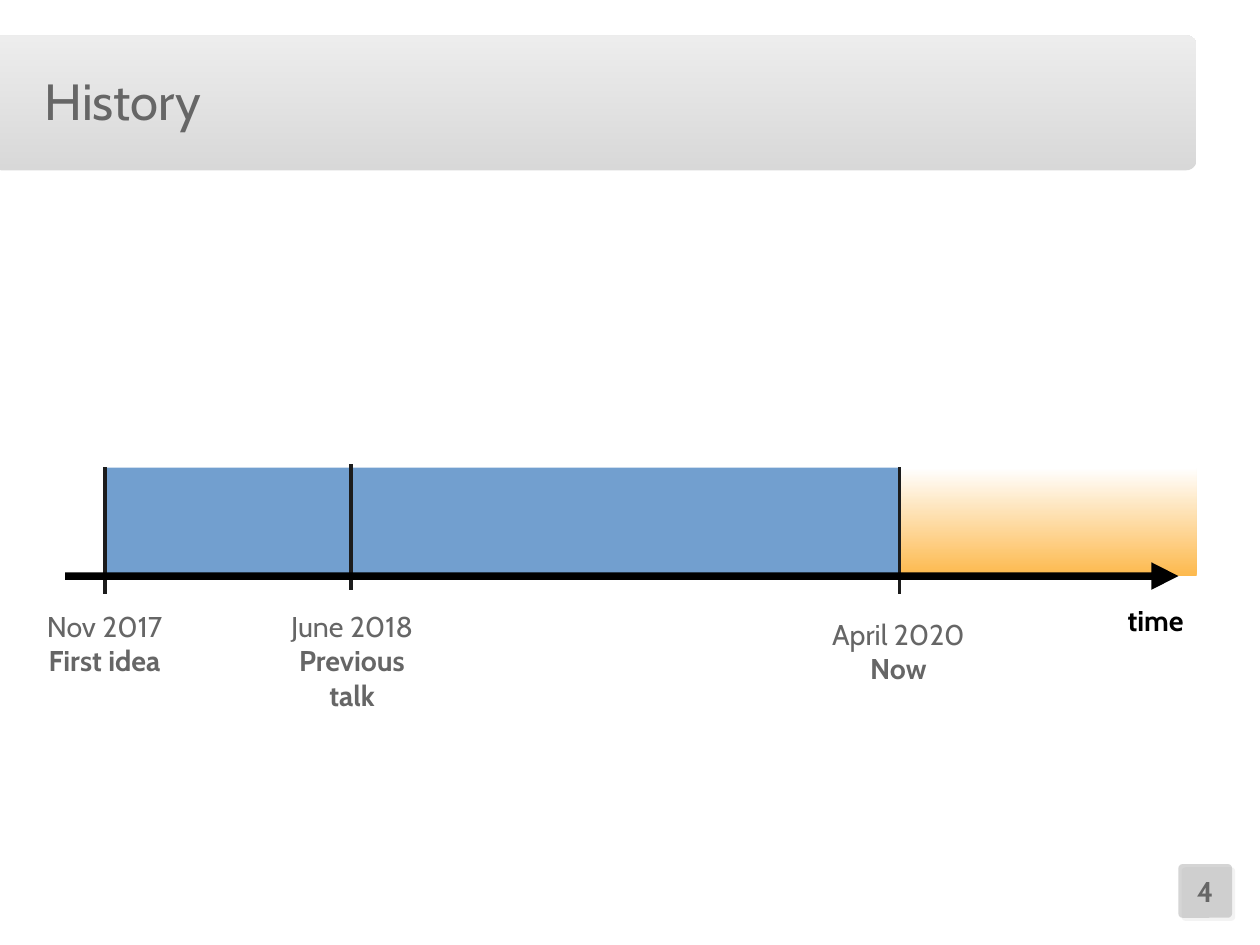
from dataclasses import dataclass

from lxml.etree import SubElement
from pptx import Presentation
from pptx.dml.color import RGBColor
from pptx.enum.shapes import MSO_CONNECTOR as LINE, MSO_SHAPE as SHAPE
from pptx.enum.text import MSO_ANCHOR as ANCHOR, PP_ALIGN as ALIGN
from pptx.oxml.ns import qn
from pptx.util import Inches, Pt

FONT = "Cabin"
COLORS = {
    "text": "666666", "black": "000000", "tick": "1C1C1C", "past": "729FCF",
    "future": "FDB94D", "white": "FFFFFF", "gray": "B2B2B2",
    "light": "DDDDDD", "shadow": "808080",
}
CM_PER_INCH = 2.54
BAR_TOP, BAR_BOTTOM = 4.09, 5.04
BADGE = (10.31, 7.56, 0.47, 0.47)


@dataclass
class Line:
    text: str
    bold: bool = False
    size: int = 18
    color: str = "text"


@dataclass
class Label:
    box: tuple[float, float, float, float]
    lines: list[Line]
    align: ALIGN = ALIGN.CENTER
    anchor: ANCHOR = ANCHOR.TOP
    inset: tuple[float, float] = (0.1, 0.05)


@dataclass
class Period:
    start: float
    end: float
    colors: list[str]  # bottom to top


@dataclass
class Tick:
    x: float
    top: float
    bottom: float


TITLE = Label((0.39, 0.39, 6.77, 0.98), [Line("History", size=32)],
              ALIGN.LEFT, ANCHOR.MIDDLE, (0, 0))
PAGE_NUMBER = Label(BADGE, [Line("4", True)], anchor=ANCHOR.MIDDLE, inset=(0, 0))
LABELS = [
    Label((2.36, 5.28, 1.44, 1.12), [Line("June 2018"), Line("Previous talk", True)]),
    Label((0.25, 5.28, 1.33, 1.12), [Line("Nov 2017"), Line("First idea", True)]),
    Label((9.67, 5.23, 0.88, 0.52), [Line("time", True, color="black")]),
    Label((7.14, 5.35, 1.44, 0.97), [Line("April 2020"), Line("Now", True)]),
]
PERIODS = [
    Period(7.88, 10.47, ["future", "white"]),
    Period(0.92, 3.07, ["past"]),
    Period(3.07, 7.87, ["past"]),
]
TICKS = [Tick(0.92, 4.09, 5.2), Tick(3.07, 4.06, 5.16), Tick(7.87, 4.09, 5.2)]


def rgb(name: str) -> RGBColor:
    return RGBColor.from_string(COLORS[name])


def add_block(s, kind, box, colors: list[str], opacity: int = 100, adj=()):
    """Add a borderless shape with a plain fill or a bottom-to-top gradient."""
    sp = s.shapes.add_shape(kind, *map(Inches, box))
    sp.shadow.inherit = False
    sp.line.fill.background()
    for i, value in enumerate(adj):
        sp.adjustments[i] = value
    if len(colors) == 1:
        sp.fill.solid()
        sp.fill.fore_color.rgb = rgb(colors[0])
    else:
        sp.fill.gradient()
        sp.fill.gradient_angle = 90
        for stop, color in zip(sp.fill.gradient_stops, colors):
            stop.color.rgb = rgb(color)
    if opacity < 100:
        for clr in list(sp._element.spPr.iter(qn("a:srgbClr"))):
            SubElement(clr, qn("a:alpha"), val=str(opacity * 1000))
    return sp


def add_shadow(sp, opacity: int, dist: float, angle: int) -> None:
    effects = sp._element.spPr.find(qn("a:effectLst"))
    shadow = SubElement(effects, qn("a:outerShdw"), blurRad="0",
                        dist=str(Pt(dist)), dir=str(angle * 60000),
                        algn="tl", rotWithShape="0")
    clr = SubElement(shadow, qn("a:srgbClr"), val=COLORS["shadow"])
    SubElement(clr, qn("a:alpha"), val=str(opacity * 1000))


def add_label(s, label: Label) -> None:
    tf = s.shapes.add_textbox(*map(Inches, label.box)).text_frame
    tf.word_wrap = True
    tf.vertical_anchor = label.anchor
    tf.margin_left = tf.margin_right = Inches(label.inset[0])
    tf.margin_top = tf.margin_bottom = Inches(label.inset[1])
    for i, line in enumerate(label.lines):
        p = tf.add_paragraph() if i else tf.paragraphs[0]
        p.alignment = label.align
        r = p.add_run()
        r.text = line.text
        r.font.name, r.font.size, r.font.bold = FONT, Pt(line.size), line.bold
        r.font.color.rgb = rgb(line.color)


def add_period(s, period: Period) -> None:
    box = (period.start, BAR_TOP, period.end - period.start, BAR_BOTTOM - BAR_TOP)
    add_block(s, SHAPE.RECTANGLE, box, period.colors)


def add_tick(s, tick: Tick) -> None:
    x = Inches(tick.x)
    line = s.shapes.add_connector(LINE.STRAIGHT, x, Inches(tick.top), x, Inches(tick.bottom))
    line.line.color.rgb = rgb("tick")
    line.line.width = Pt(2.3)
    SubElement(line._element.spPr, qn("a:effectLst"))


def main() -> None:
    prs = Presentation()
    prs.slide_width = Inches(28 / CM_PER_INCH)
    prs.slide_height = Inches(21 / CM_PER_INCH)
    s = prs.slides.add_slide(prs.slide_layouts[6])

    # Header band, page badge and title
    add_block(s, SHAPE.ROUNDED_RECTANGLE, (-0.08, 0.31, 10.55, 1.18),
              ["gray", "light"], 50, [0.078])
    badge = add_block(s, SHAPE.ROUNDED_RECTANGLE, BADGE, ["gray"], 54, [0.078])
    add_shadow(badge, 17, 2.8, 45)
    add_label(s, TITLE)

    # Timeline
    for period in PERIODS:
        add_period(s, period)
    for tick in TICKS:
        add_tick(s, tick)
    add_block(s, SHAPE.RIGHT_ARROW, (0.57, 4.92, 9.74, 0.24), ["black"],
              adj=[0.275, 0.983])

    # Dates and page number
    for label in [*LABELS, PAGE_NUMBER]:
        add_label(s, label)

    prs.save("out.pptx")


if __name__ == "__main__":
    main()
